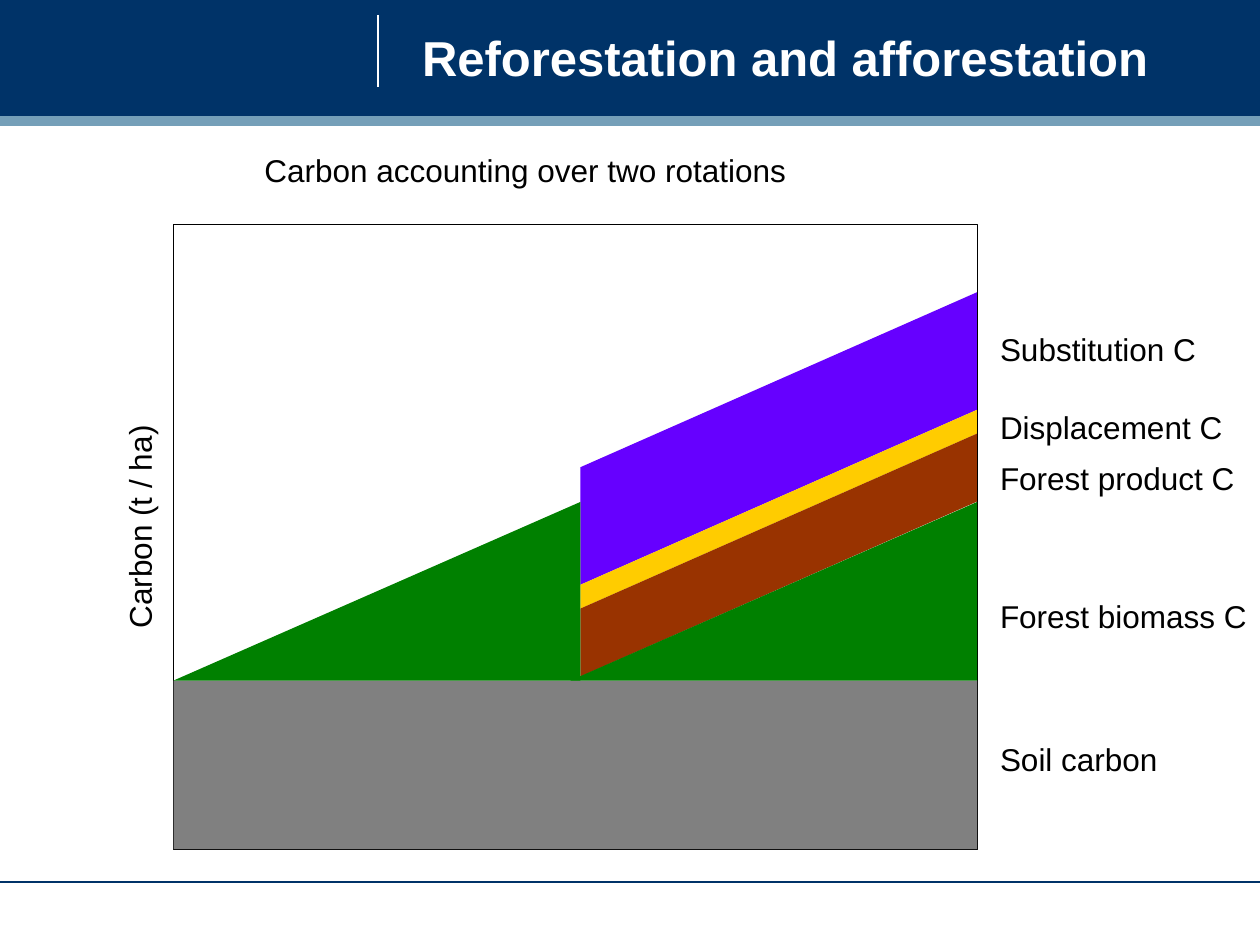
from dataclasses import dataclass

from lxml import etree
from pptx import Presentation
from pptx import util as u
from pptx.dml.color import RGBColor
from pptx.enum import shapes, text
from pptx.oxml.ns import qn


@dataclass(frozen=True)
class Theme:
    """Colours, font and type sizes of the slide."""
    navy: str = "003368"
    strip: str = "759FB8"
    white: str = "FFFFFF"
    black: str = "000000"
    substitution: str = "6600FF"
    displacement: str = "FFCC00"
    product: str = "993300"
    biomass: str = "008000"
    soil: str = "808080"
    font: str = "Arial"
    title_size: int = 28
    label_size: int = 18
    line_width: float = 0.75


THEME = Theme()
LABEL_HEIGHT = 1.02


def paint(shape, fill=None, line=None):
    """Set the fill and outline of a shape and drop its shadow."""
    shape.shadow.inherit = False
    if fill:
        shape.fill.solid()
        shape.fill.fore_color.rgb = RGBColor.from_string(fill)
    else:
        shape.fill.background()
    if line:
        shape.line.color.rgb = RGBColor.from_string(line)
        shape.line.width = u.Pt(THEME.line_width)
    else:
        shape.line.fill.background()


def add_preset(slide, preset, box, fill=None, line=None):
    """Add a preset shape in a box given in centimetres."""
    shape = slide.shapes.add_shape(preset, *map(u.Cm, box))
    paint(shape, fill, line)
    return shape


def add_rule(slide, start, end, colour):
    """Add a thin straight line between two points."""
    rule = slide.shapes.add_connector(
        shapes.MSO_CONNECTOR.STRAIGHT, *map(u.Cm, start + end))
    rule.line.color.rgb = RGBColor.from_string(colour)
    rule.line.width = u.Pt(THEME.line_width)
    etree.SubElement(rule.element.spPr, qn("a:effectLst"))


def add_text(slide, box, wording, size=THEME.label_size,
             colour=THEME.black, bold=False, wrap=False):
    """Add a single run of text, anchored in the middle of its box."""
    shape = slide.shapes.add_textbox(*map(u.Cm, box))
    frame = shape.text_frame
    frame.word_wrap = wrap
    frame.vertical_anchor = text.MSO_ANCHOR.MIDDLE
    run = frame.paragraphs[0].add_run()
    run.text = wording
    run.font.name = THEME.font
    run.font.size = u.Pt(size)
    run.font.bold = bold
    run.font.color.rgb = RGBColor.from_string(colour)
    return shape


def add_header(slide, left, top, width, height):
    """Draw the title bar with its strip, divider and title."""
    strip_height = 0.2
    bar_height = height - strip_height
    rectangle = shapes.MSO_SHAPE.RECTANGLE
    add_preset(slide, rectangle, (left, top, width, bar_height), THEME.navy)
    add_preset(slide, rectangle,
               (left, top + bar_height, width, strip_height), THEME.strip)
    divider = left + 7.62
    add_rule(slide, (divider, top + 0.3), (divider, top + 1.75), THEME.white)
    add_text(slide, (left + 8.26, top + 0.2, 16.08, 1.9),
             "Reforestation and afforestation", THEME.title_size,
             THEME.white, bold=True, wrap=True)


def add_band(slide, left, right, tops, bottoms, fill):
    """Draw a sloping band from its left and right edges."""
    corners = [(left, tops[0]), (right, tops[1]),
               (right, bottoms[1]), (left, bottoms[0])]
    points = [(u.Cm(x), u.Cm(y)) for x, y in corners]
    builder = slide.shapes.build_freeform(*points[0], scale=1.0)
    builder.add_line_segments(points[1:], close=True)
    paint(builder.convert_to_shape(), fill)


def add_diagram(slide, left, top, width, height):
    """Draw the carbon pools over two rotations inside a frame."""
    rectangle = shapes.MSO_SHAPE.RECTANGLE
    soil_top, rotation_width, growth, rise = 9.2, 8.2, 3.6, 3.53
    edges = [4.9, 7.27, 7.75, 9.12]
    fills = [THEME.substitution, THEME.displacement, THEME.product]
    for upper, lower, fill in zip(edges, edges[1:], fills):
        add_band(slide, left + rotation_width, left + width,
                 (top + upper, top + upper - rise),
                 (top + lower, top + lower - rise), fill)
    add_preset(slide, rectangle, (left, top, width, height), line=THEME.black)
    add_preset(slide, rectangle,
               (left, top + soil_top, width, height - soil_top), THEME.soil)
    for offset in (0, width - rotation_width):
        triangle = add_preset(
            slide, shapes.MSO_SHAPE.RIGHT_TRIANGLE,
            (left + offset, top + soil_top - growth, rotation_width, growth),
            THEME.biomass)
        triangle.element.spPr.xfrm.set("flipH", "1")


def add_pool_labels(slide, left, top):
    """Name the carbon pools in a column beside the diagram."""
    labels = [("Substitution C", 2.01, 4.47), ("Displacement C", 3.58, 5),
              ("Forest product C", 4.6, 5.23), ("Forest biomass C", 7.39, 5.49),
              ("Soil carbon", 10.26, 3.68)]
    for wording, offset, width in labels:
        add_text(slide, (left, top + offset, width, LABEL_HEIGHT), wording)


def add_axis_label(slide, centre_x, centre_y):
    """Write the upright axis label around its centre."""
    width = 4.6
    label = add_text(slide, (centre_x - width / 2, centre_y - LABEL_HEIGHT / 2,
                             width, LABEL_HEIGHT), "Carbon (t / ha)")
    label.rotation = 270


def main():
    """Build the slide and save it."""
    presentation = Presentation()
    presentation.slide_width, presentation.slide_height = u.Cm(25.4), u.Cm(19.05)
    slide = presentation.slides.add_slide(presentation.slide_layouts[6])
    left, top, width, height = 3.5, 4.52, 16.2, 12.6
    add_header(slide, 0, 0, 25.4, 2.54)
    add_rule(slide, (0, 17.78), (25.4, 17.78), THEME.navy)
    add_diagram(slide, left, top, width, height)
    add_pool_labels(slide, left + width + 0.21, top)
    add_axis_label(slide, left - 0.69, top + 6.1)
    add_text(slide, (5.08, 2.92, 11.02, LABEL_HEIGHT),
             "Carbon accounting over two rotations")
    presentation.save("out.pptx")


if __name__ == "__main__":
    main()
